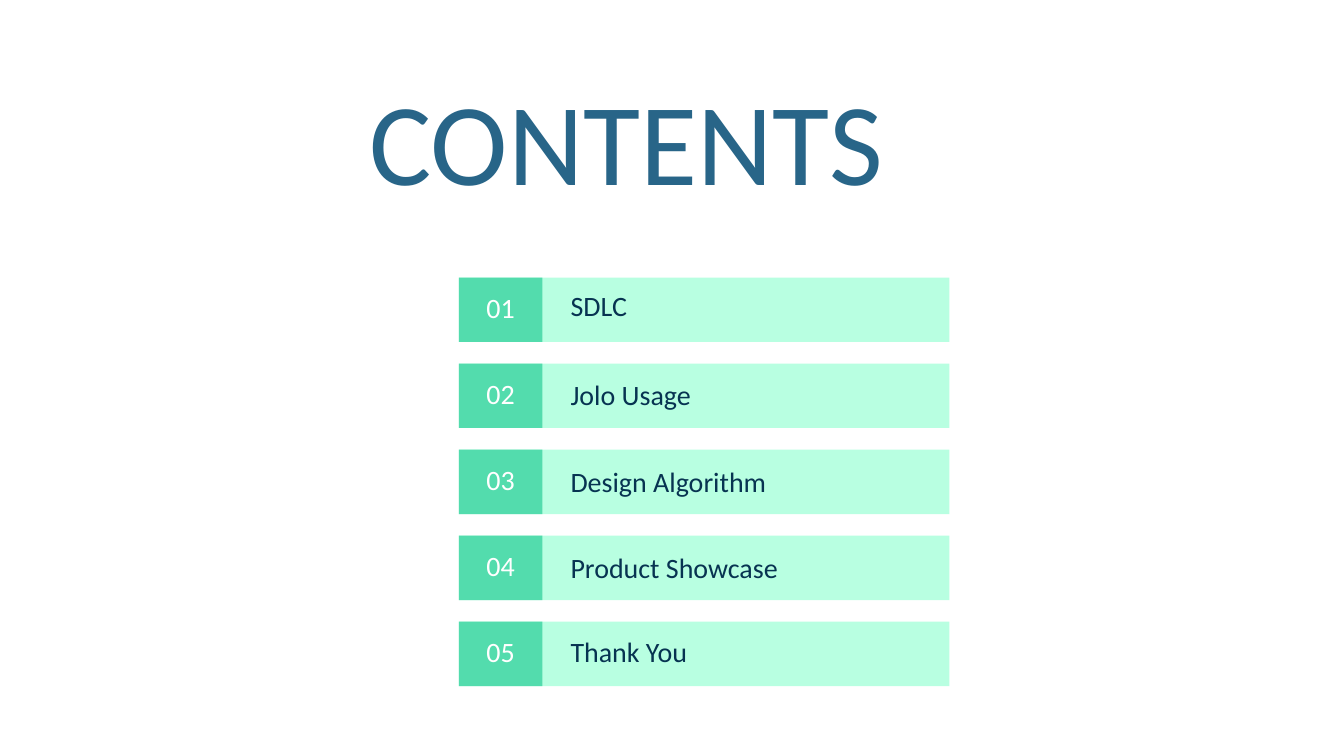
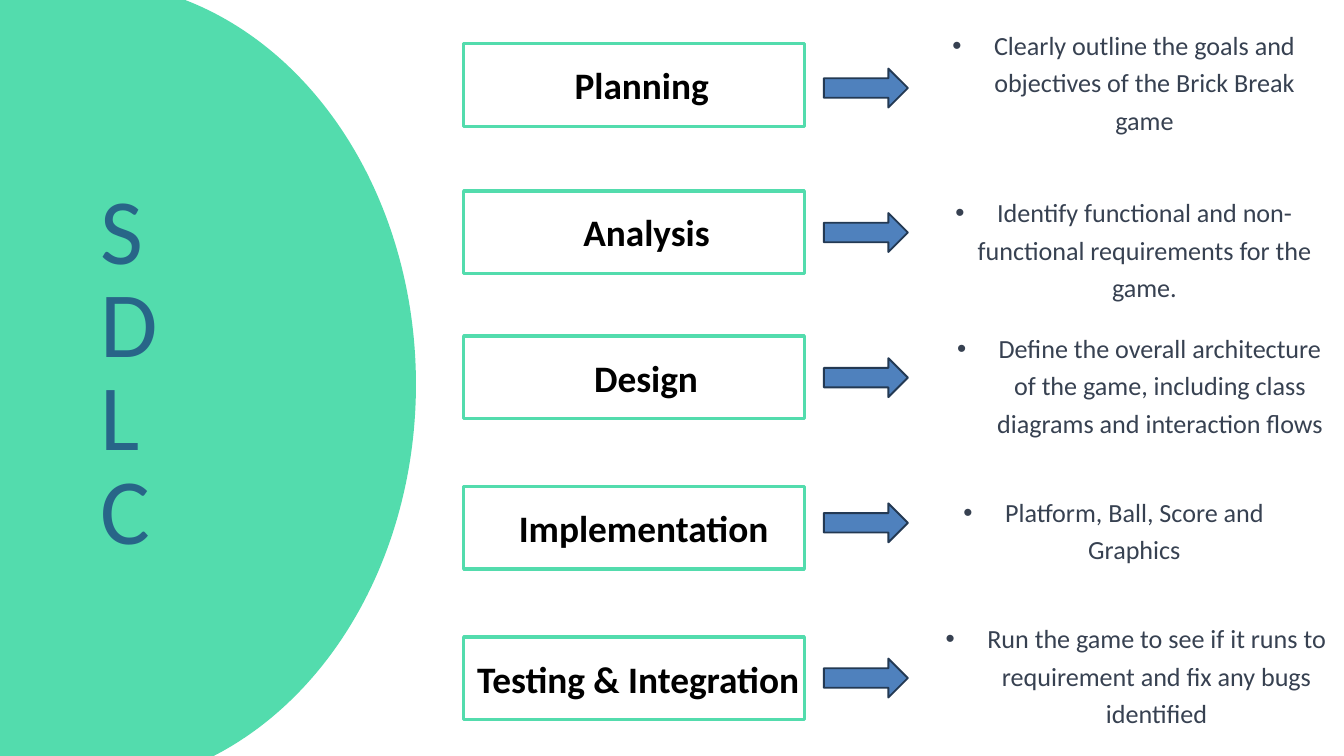
from dataclasses import dataclass

from lxml.etree import SubElement
from pptx import Presentation
from pptx.dml.color import RGBColor
from pptx.enum.shapes import MSO_SHAPE
from pptx.enum.text import MSO_AUTO_SIZE, PP_ALIGN
from pptx.oxml.ns import qn
from pptx.util import Emu, Pt

PX = 9144
FONT = "Calibri"
INK = {
    "mint": "53DCAD",
    "pale": "B8FFE1",
    "title": "286588",
    "navy": "073351",
    "white": "FFFFFF",
    "black": "000000",
    "grey": "374151",
    "blue": "4F81BD",
    "edge": "233953",
}


@dataclass(frozen=True)
class Box:
    """A place on the slide, in px."""

    x: int
    y: int
    w: int
    h: int


@dataclass(frozen=True)
class Topic:
    """A line of the contents list."""

    name: str
    top: int


@dataclass(frozen=True)
class Stage:
    """A stage of the life cycle with its note."""

    name: str
    top: int
    label: Box
    arrow: int
    note: str
    place: Box


TOPICS = [
    Topic("SDLC", 438),
    Topic("Jolo Usage", 570),
    Topic("Design Algorithm", 699),
    Topic("Product Showcase", 828),
    Topic("Thank You", 952),
]

STAGES = [
    Stage("Planning", 65, Box(855, 92, 366, 67), 102,
          "Clearly outline the goals and objectives of the Brick Break game",
          Box(1389, 35, 566, 168)),
    Stage("Analysis", 284, Box(868, 312, 366, 67), 317,
          "Identify functional and non-functional requirements for the game.",
          Box(1389, 284, 566, 166)),
    Stage("Design", 500, Box(884, 529, 366, 67), 533,
          "Define the overall architecture of the game, including class "
          "diagrams and interaction flows",
          Box(1407, 486, 576, 164)),
    Stage("Implementation", 724, Box(772, 752, 415, 67), 749,
          "Platform, Ball, Score and Graphics",
          Box(1374, 730, 566, 112)),
    Stage("Testing & Integration", 948, Box(710, 976, 507, 67), 980,
          "Run the game to see if it runs to requirement and fix any bugs "
          "identified",
          Box(1407, 918, 566, 168)),
]


def px(count: int) -> Emu:
    """Turn px into EMU."""
    return Emu(count * PX)


def tint(name: str) -> RGBColor:
    """Look up a colour by name."""
    return RGBColor.from_string(INK[name])


def draw(slide, kind: MSO_SHAPE, box: Box, fill: str = "", line: str = "",
         width: float = 1) -> None:
    """Draw a preset shape with an optional fill and line."""
    shape = slide.shapes.add_shape(kind, px(box.x), px(box.y), px(box.w), px(box.h))
    shape.shadow.inherit = False
    if fill:
        shape.fill.solid()
        shape.fill.fore_color.rgb = tint(fill)
    else:
        shape.fill.background()
    if line:
        shape.line.color.rgb = tint(line)
        shape.line.width = Pt(width)
    else:
        shape.line.fill.background()


def write(slide, text: str, box: Box, *, size: float, ink: str, lead: float = 0,
          bold: bool = False, mid: bool = False, dot: bool = False) -> None:
    """Write text in a box, one paragraph for each line."""
    shape = slide.shapes.add_textbox(px(box.x), px(box.y), px(box.w), px(box.h))
    frame = shape.text_frame
    frame.margin_left = frame.margin_right = 0
    frame.margin_top = frame.margin_bottom = 0
    frame.word_wrap = True
    frame.auto_size = MSO_AUTO_SIZE.SHAPE_TO_FIT_TEXT
    frame.text = text
    for para in frame.paragraphs:
        para.alignment = PP_ALIGN.CENTER if mid else PP_ALIGN.LEFT
        if lead:
            para.line_spacing = Pt(lead)
        if dot:
            props = para._p.get_or_add_pPr()
            props.set("marL", str(px(62)))
            props.set("indent", str(px(-62)))
            SubElement(props, qn("a:buFont"), typeface="Arial")
            SubElement(props, qn("a:buChar"), char="•")
        for run in para.runs:
            run.font.name = FONT
            run.font.size = Pt(size)
            run.font.bold = bold
            run.font.color.rgb = tint(ink)


def list_topics(slide) -> None:
    """Build the contents slide."""
    write(slide, "CONTENTS", Box(550, 137, 899, 182), size=125.2, lead=125.2,
          ink="title")
    for i, topic in enumerate(TOPICS):
        top = 413 + 128 * i
        draw(slide, MSO_SHAPE.RECTANGLE, Box(683, top, 730, 96), fill="pale")
        draw(slide, MSO_SHAPE.RECTANGLE, Box(683, top, 124, 96), fill="mint")
        write(slide, topic.name, Box(849, topic.top, 476, 44), size=30, lead=30,
              ink="navy")
        write(slide, f"{i + 1:02}", Box(711, top + 28, 68, 44), size=30, lead=30,
              ink="white", mid=True)


def show_stages(slide) -> None:
    """Build the life cycle slide."""
    draw(slide, MSO_SHAPE.OVAL, Box(-365, -28, 984, 1200), fill="mint")
    write(slide, "\n".join("SDLC"), Box(150, 282, 242, 561), size=100, lead=100,
          ink="title")
    for stage in STAGES:
        draw(slide, MSO_SHAPE.RECTANGLE, Box(690, stage.top, 507, 123),
             line="mint", width=3.75)
        write(slide, stage.name, stage.label, size=40, ink="black", bold=True)
        draw(slide, MSO_SHAPE.RIGHT_ARROW, Box(1226, stage.arrow, 125, 58),
             fill="blue", line="edge", width=2)
        write(slide, stage.note, stage.place, size=28, lead=40, ink="grey",
              mid=True, dot=True)


def main() -> None:
    """Build and save the deck."""
    deck = Presentation()
    deck.slide_width, deck.slide_height = px(2000), px(1125)
    for build in (list_topics, show_stages):
        build(deck.slides.add_slide(deck.slide_layouts[6]))
    deck.save("out.pptx")


if __name__ == "__main__":
    main()
